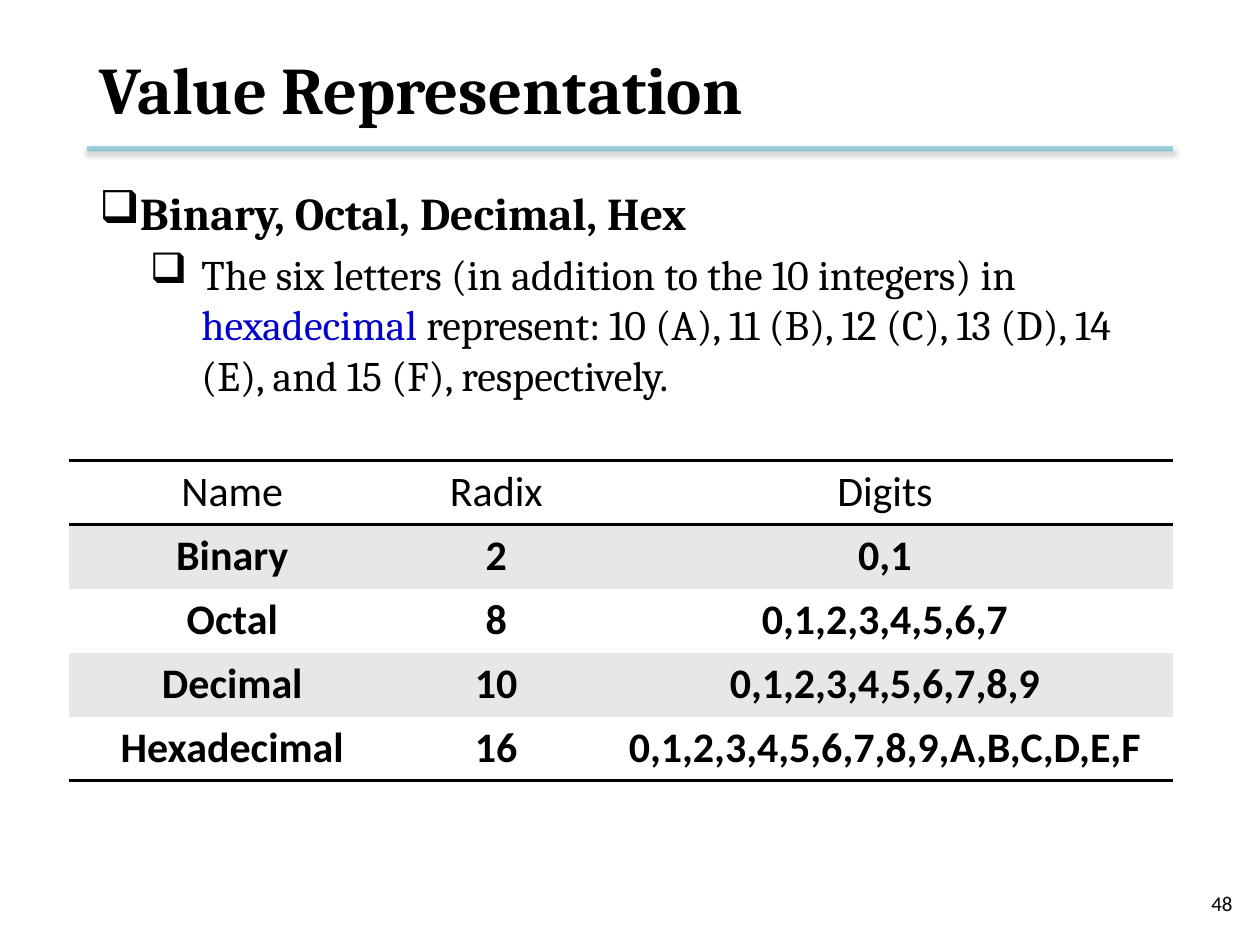
from lxml.etree import SubElement
from pptx import Presentation
from pptx.dml.color import RGBColor
from pptx.enum.shapes import MSO_CONNECTOR
from pptx.enum.text import MSO_ANCHOR, PP_ALIGN
from pptx.oxml import parse_xml
from pptx.oxml.ns import nsdecls, qn
from pptx.util import Pt

BLACK, WHITE, BAND, BLUE, TEAL = "000000", "FFFFFF", "E7E7E7", "0000CC", "4BACC6"
HEADING_FONT, TABLE_FONT = "Cambria", "Calibri"


def color(hex_value):
    return RGBColor.from_string(hex_value)


def style(run, size, font, fill=BLACK, bold=False):
    run.font.size = Pt(size)
    run.font.name = font
    run.font.bold = bold
    run.font.color.rgb = color(fill)


def add_frame(slide, box, anchor):
    frame = slide.shapes.add_textbox(*map(Pt, box)).text_frame
    frame.word_wrap = True
    frame.vertical_anchor = anchor
    return frame


def add_line(slide, box, text, size, font, align, bold=False):
    """One line of text, centred vertically in its box."""
    paragraph = add_frame(slide, box, MSO_ANCHOR.MIDDLE).paragraphs[0]
    paragraph.text = text
    paragraph.alignment = align
    style(paragraph.runs[0], size, font, bold=bold)


def add_rule(slide, left, top, width):
    """Half-transparent rule with a soft shadow below it."""
    rule = slide.shapes.add_connector(
        MSO_CONNECTOR.STRAIGHT, Pt(left), Pt(top), Pt(left + width), Pt(top))
    rule.line.width = Pt(3)
    rule.line.color.rgb = color(TEAL)
    properties = rule._element.spPr
    SubElement(next(properties.iter(qn("a:srgbClr"))), qn("a:alpha"), val="50000")
    properties.append(parse_xml(
        f'<a:effectLst {nsdecls("a")}>'
        f'<a:outerShdw blurRad="{Pt(3.1)}" dist="{Pt(1.6)}" dir="5400000" rotWithShape="0">'
        f'<a:srgbClr val="{BLACK}"><a:alpha val="38000"/></a:srgbClr>'
        '</a:outerShdw></a:effectLst>'))


def add_bullets(slide, box, items):
    frame = add_frame(slide, box, MSO_ANCHOR.TOP)
    for index, (level, margin, indent, size, bold, parts) in enumerate(items):
        paragraph = frame.paragraphs[0] if index == 0 else frame.add_paragraph()
        paragraph.level = level
        if index:
            paragraph.space_before = Pt(5)
        properties = paragraph._p.get_or_add_pPr()
        properties.set("marL", str(Pt(margin)))
        properties.set("indent", str(Pt(indent)))
        SubElement(properties, qn("a:buChar"), char="❑")
        for text, fill in parts:
            run = paragraph.add_run()
            run.text = text
            style(run, size, HEADING_FONT, fill, bold)


def set_borders(cell, ruled_sides):
    properties = cell._tc.get_or_add_tcPr()
    for position, side in enumerate("LRTB"):
        if side in ruled_sides:
            width = Pt(2)
            paint = f'<a:solidFill><a:srgbClr val="{BLACK}"/></a:solidFill>'
        else:
            width, paint = 0, "<a:noFill/>"
        properties.insert(position, parse_xml(
            f'<a:ln{side} {nsdecls("a")} w="{width}">{paint}</a:ln{side}>'))


def add_radix_table(slide, box, widths, rows):
    table = slide.shapes.add_table(len(rows), len(widths), *map(Pt, box)).table
    table.first_row = table.horz_banding = False
    for column, width in zip(table.columns, widths):
        column.width = Pt(width)
    # Rules above and below the header, and below the last row
    ruled = {0: "TB", 1: "T", len(rows) - 1: "B"}
    for r, values in enumerate(rows):
        table.rows[r].height = Pt(box[3] / len(rows))
        for c, value in enumerate(values):
            cell = table.cell(r, c)
            cell.fill.solid()
            cell.fill.fore_color.rgb = color(BAND if r % 2 else WHITE)
            set_borders(cell, ruled.get(r, ""))
            paragraph = cell.text_frame.paragraphs[0]
            paragraph.text = value
            paragraph.alignment = PP_ALIGN.CENTER
            style(paragraph.runs[0], 24, TABLE_FONT, bold=r > 0)


def main():
    presentation = Presentation()
    presentation.slide_width, presentation.slide_height = Pt(720), Pt(540)
    slide = presentation.slides.add_slide(presentation.slide_layouts[6])
    left, width = 49.7, 620.6

    # Heading and page number
    add_rule(slide, left, 85, width)
    add_line(slide, (543.6, 501.8, 167.8, 28.8), "48", 12, TABLE_FONT, PP_ALIGN.RIGHT)
    add_line(slide, (left, 12.2, width, 76.3), "Value Representation", 38,
             HEADING_FONT, PP_ALIGN.LEFT, bold=True)

    # Explanation: level, margin, indent, size, bold, coloured parts
    add_bullets(slide, (left, 102.2, width, 367.2), [
        (0, 18, -32.4, 26, True, [("Binary, Octal, Decimal, Hex", BLACK)]),
        (1, 58.3, -29.5, 24, False, [
            ("The six letters (in addition to the 10 integers) in ", BLACK),
            ("hexadecimal", BLUE),
            (" represent: 10 (A), 11 (B), 12 (C), 13 (D), 14 (E), and 15 (F), "
             "respectively.", BLACK),
        ]),
    ])

    # Number systems
    digits = "0123456789ABCDEF"
    systems = [("Binary", 2), ("Octal", 8), ("Decimal", 10), ("Hexadecimal", 16)]
    rows = [("Name", "Radix", "Digits")]
    rows += [(name, str(radix), ",".join(digits[:radix])) for name, radix in systems]
    add_radix_table(slide, (39.5, 263.2, 630.7, 183), (186.5, 115.2, 329), rows)

    presentation.save("out.pptx")


if __name__ == "__main__":
    main()
